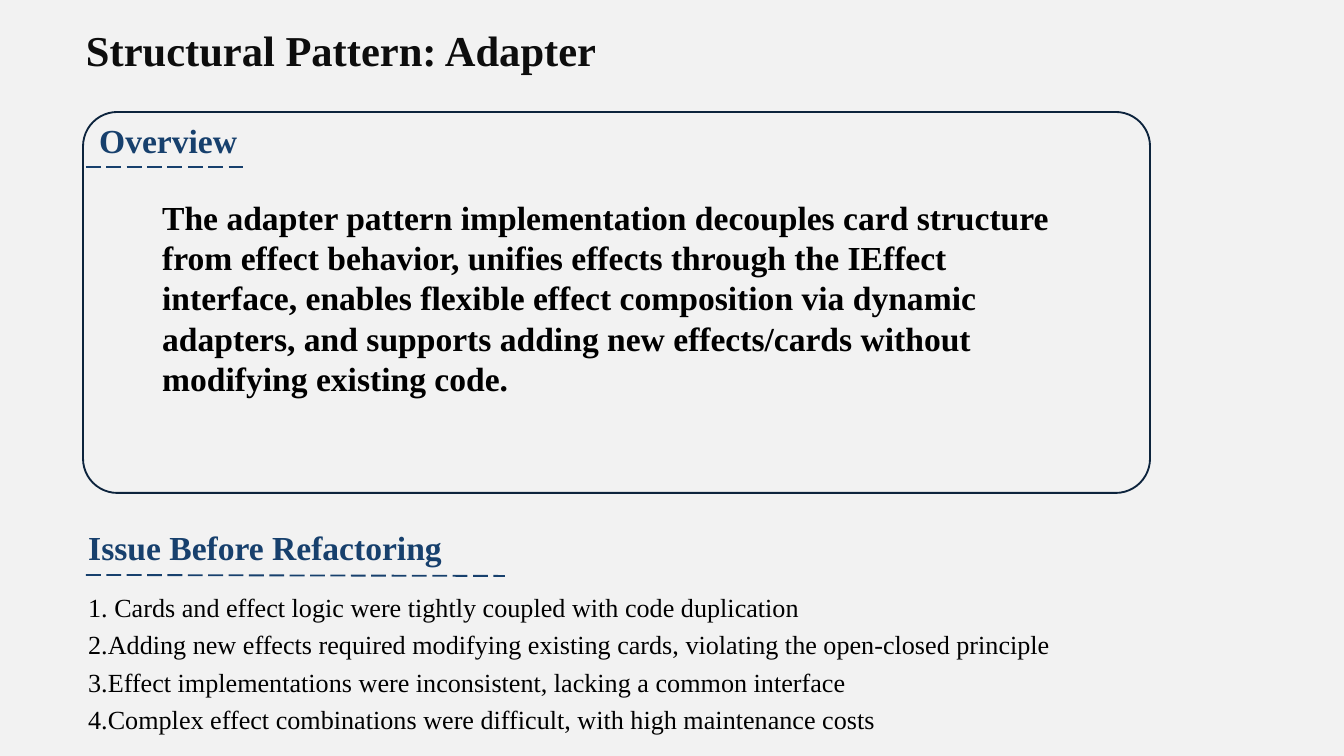
from lxml.etree import SubElement
from pptx import Presentation
from pptx.dml.color import RGBColor
from pptx.enum.dml import MSO_LINE
from pptx.enum.shapes import MSO_CONNECTOR, MSO_SHAPE
from pptx.enum.text import MSO_ANCHOR, MSO_AUTO_SIZE, PP_ALIGN
from pptx.oxml.ns import qn
from pptx.util import Pt

PAPER = RGBColor(0xF2, 0xF2, 0xF2)
INK = RGBColor(0x0D, 0x0D, 0x0D)
BLACK = RGBColor(0, 0, 0)
BLUE = RGBColor(0x17, 0x40, 0x6D)
NAVY = RGBColor(0x0D, 0x24, 0x3D)
SCALE = 914400 / 134.4


def px(*nums):
    return [round(num * SCALE) for num in nums]


def write(frame, lines, color, size, bold=True, space=1.0):
    style = {"name": "Times New Roman", "size": Pt(size), "bold": bold}
    frame.word_wrap = True
    for i, line in enumerate(lines):
        para = frame.paragraphs[0] if i == 0 else frame.add_paragraph()
        para.alignment = PP_ALIGN.LEFT
        para.line_spacing = space
        run = para.add_run()
        run.text = line
        for key, value in style.items():
            setattr(run.font, key, value)
        run.font.color.rgb = color


deck = Presentation()
deck.slide_width, deck.slide_height = px(1344, 756)
slide = deck.slides.add_slide(deck.slide_layouts[5])
slide.background.fill.solid()
slide.background.fill.fore_color.rgb = PAPER
shapes = slide.shapes

# Title
title = shapes.title
title.left, title.top, title.width, title.height = px(86, 24, 675, 51)
frame = title.text_frame
layout = {
    "margin_left": 0, "margin_top": 0, "margin_right": 0, "margin_bottom": 0,
    "vertical_anchor": MSO_ANCHOR.MIDDLE, "auto_size": MSO_AUTO_SIZE.NONE,
}
for key, value in layout.items():
    setattr(frame, key, value)
write(frame, ["Structural Pattern: Adapter"], INK, 22.8)

# Overview frame
card = shapes.add_shape(MSO_SHAPE.ROUNDED_RECTANGLE, *px(83, 112, 1067, 381))
card.adjustments[0] = 0.09
card.shadow.inherit = False
card.fill.background()
card.line.color.rgb = NAVY
card.line.width = Pt(1)

# Section heads with dashed rules
heads = [
    ("Overview", 86, 113, (86, 167, 247, 167)),
    ("Issue Before Refactoring", 75, 520, (86, 575, 505, 576)),
]
for text, left, top, ends in heads:
    head = shapes.add_textbox(*px(left, top, 448, 54))
    write(head.text_frame, [text], BLUE, 18)
    rule = shapes.add_connector(MSO_CONNECTOR.STRAIGHT, *px(*ends))
    rule.line.color.rgb = BLUE
    rule.line.width = Pt(1)
    rule.line.dash_style = MSO_LINE.LONG_DASH
    SubElement(rule._element.spPr, qn("a:effectLst"))

# Overview text
body = shapes.add_textbox(*px(149, 190, 935, 216))
write(body.text_frame, [
    "The adapter pattern implementation decouples card structure from effect "
    "behavior, unifies effects through the IEffect interface, enables flexible "
    "effect composition via dynamic adapters, and supports adding new "
    "effects/cards without modifying existing code."
], BLACK, 18)

# Issue list
issues = shapes.add_textbox(*px(75, 578, 1179, 137))
write(issues.text_frame, [
    "1. Cards and effect logic were tightly coupled with code duplication",
    "2.Adding new effects required modifying existing cards, violating the open-closed principle",
    "3.Effect implementations were inconsistent, lacking a common interface",
    "4.Complex effect combinations were difficult, with high maintenance costs",
], BLACK, 14, bold=False, space=1.2)

deck.save("out.pptx")
